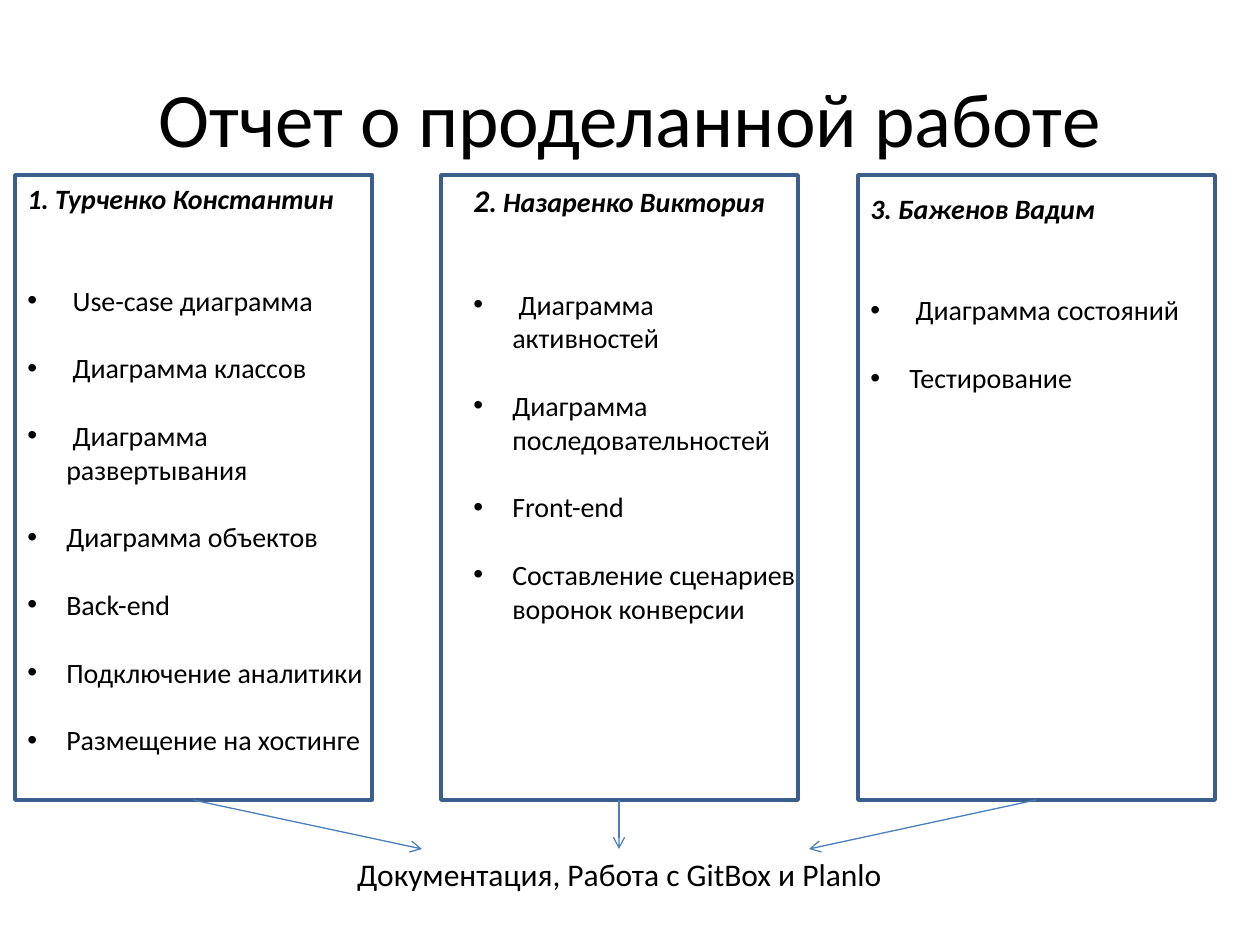
from lxml.etree import SubElement
from pptx import Presentation
from pptx.dml.color import RGBColor
from pptx.enum.shapes import MSO_CONNECTOR as Link, MSO_SHAPE as Shape
from pptx.enum.text import MSO_ANCHOR as Anchor, PP_ALIGN as Align
from pptx.oxml.ns import qn
from pptx.util import Emu, Inches, Pt

BLACK = RGBColor(0x00, 0x00, 0x00)
NAVY = RGBColor(0x3A, 0x5F, 0x8C)
BLUE = RGBColor(0x4B, 0x7E, 0xBC)
SCALE = Inches(1) / 126
FONT = "Calibri"
LINE = 19.5  # height of one 16 pt line, in points

# Column frames: shared top and size, one left edge each
TOP, WIDE, HIGH = 175, 357, 625
# Frame left, text offset and width, arrow target, number and its size, name, tasks
COLS = [
    (15, (0, 0), 377, 422, "1", 16, "Турченко Константин",
     [" Use-case диаграмма", " Диаграмма классов",
      " Диаграмма развертывания", "Диаграмма объектов", "Back-end",
      "Подключение аналитики", "Размещение на хостинге"]),
    (441, (20, 0), 348, 619, "2", 18, "Назаренко Виктория",
     [" Диаграмма активностей", "Диаграмма последовательностей",
      "Front-end", "Составление сценариев воронок конверсии"]),
    (858, (0, 10), 402, 809, "3", 16, "Баженов Вадим",
     [" Диаграмма состояний", "Тестирование"]),
]


def px(num):
    return Emu(round(num * SCALE))


def style(run, size, bold=False):
    font = run.font
    font.name, font.size, font.color.rgb = FONT, Pt(size), BLACK
    font.bold = font.italic = bold


def add_text(slide, box, wrap=True):
    frame = slide.shapes.add_textbox(*map(px, box)).text_frame
    frame.word_wrap = wrap
    return frame


def add_line(slide, text, box, size, wrap=True):
    """One centred line of text."""
    frame = add_text(slide, box, wrap)
    frame.vertical_anchor = Anchor.MIDDLE
    para = frame.paragraphs[0]
    para.text = text
    para.alignment = Align.CENTER
    style(para.runs[0], size)


def set_bullet(para):
    props = para._p.get_or_add_pPr()
    props.set("marL", str(px(39)))
    props.set("indent", str(-px(39)))
    SubElement(props, qn("a:buFont"), typeface="Arial")
    SubElement(props, qn("a:buChar"), char="•")


def add_arrow(slide, start, end):
    arrow = slide.shapes.add_connector(Link.STRAIGHT, *map(px, start + end))
    arrow.line.color.rgb = BLUE
    arrow.line.width = Pt(0.75)
    SubElement(arrow.line._get_or_add_ln(), qn("a:tailEnd"), type="arrow")
    SubElement(arrow._element.spPr, qn("a:effectLst"))


def add_column(slide, box, shift, width, num, size, name, tasks):
    left, top, wide, high = box

    # Heading
    frame = add_text(slide, (left + shift[0], top + shift[1],
                             width, high - shift[1]))
    head = frame.paragraphs[0]
    for text, pts in ((num, size), (f". {name}", 16)):
        run = head.add_run()
        run.text = text
        style(run, pts, True)

    # Tasks
    for row, task in enumerate(tasks):
        para = frame.add_paragraph()
        para.text = task
        para.space_before = Pt(LINE if row else 2 * LINE)
        set_bullet(para)
        style(para.runs[0], 16)

    # Frame
    rect = slide.shapes.add_shape(Shape.RECTANGLE, *map(px, box))
    rect.shadow.inherit = False
    rect.fill.background()
    rect.line.color.rgb = NAVY
    rect.line.width = Pt(2)


def main():
    deck = Presentation()
    deck.slide_width, deck.slide_height = px(1260), px(945)
    slide = deck.slides.add_slide(deck.slide_layouts[6])

    add_line(slide, "Отчет о проделанной работе", (63, 38, 1134, 157), 44)
    for left, shift, width, goal, *person in COLS:
        add_column(slide, (left, TOP, WIDE, HIGH), shift, width, *person)
        add_arrow(slide, (left + WIDE // 2, TOP + HIGH), (goal, 849))
    add_line(slide, "Документация, Работа с GitBox и Planlo",
             (343, 849, 553, 50), 18, False)

    deck.save("out.pptx")


if __name__ == "__main__":
    main()
